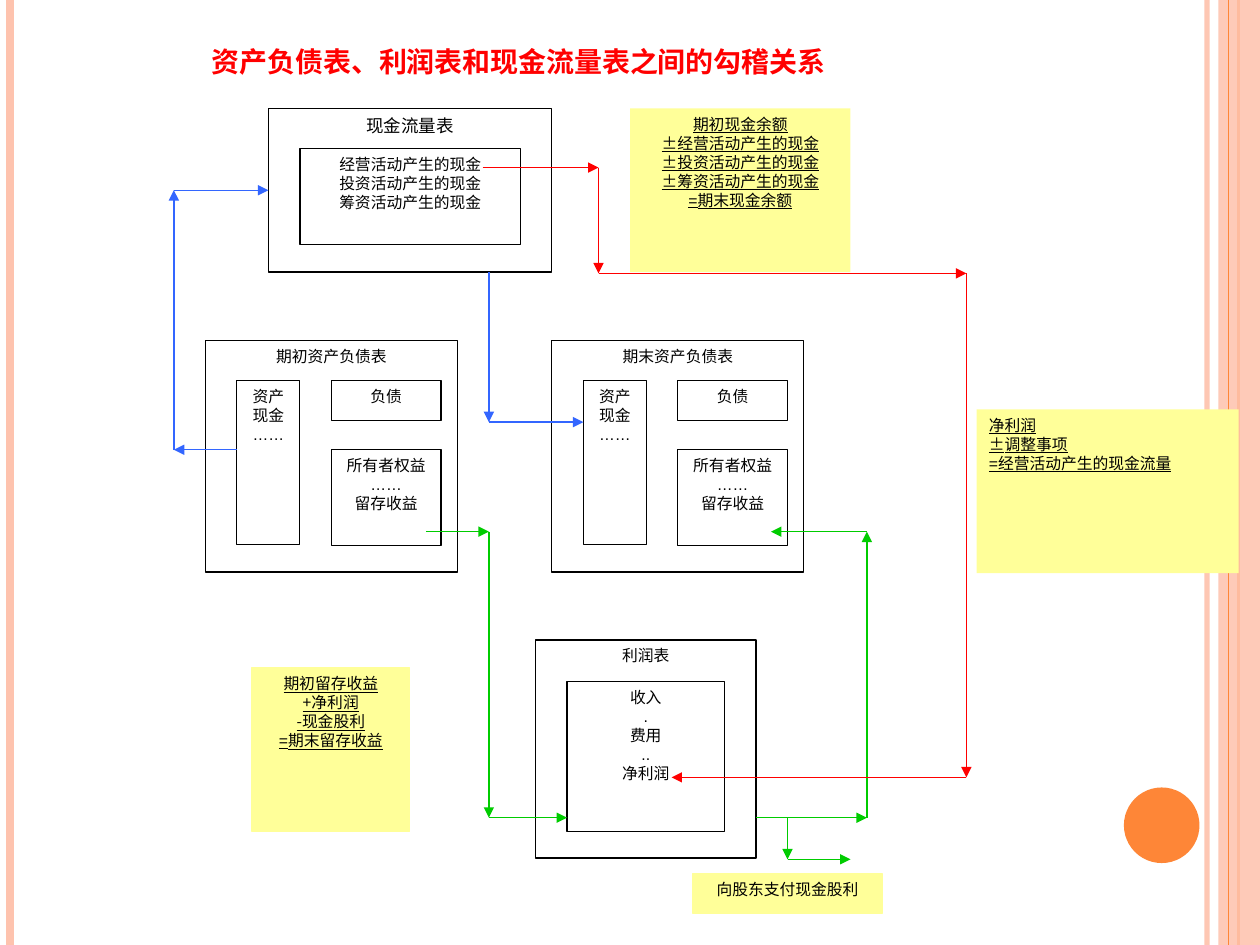
from itertools import pairwise

from lxml import etree
from pptx import Presentation
from pptx.dml.color import RGBColor
from pptx.enum.shapes import MSO_CONNECTOR, MSO_SHAPE
from pptx.enum.text import MSO_ANCHOR, MSO_AUTO_SIZE, PP_ALIGN
from pptx.oxml import parse_xml
from pptx.oxml.ns import nsdecls, qn
from pptx.util import Inches, Pt

BLACK = RGBColor(0x00, 0x00, 0x00)
WHITE = RGBColor(0xFF, 0xFF, 0xFF)
PEACH = RGBColor(0xFE, 0xC3, 0xAE)
ORANGE = RGBColor(0xFE, 0x86, 0x37)
YELLOW = RGBColor(0xFF, 0xFF, 0x99)
BLUE = RGBColor(0x33, 0x66, 0xFF)
GREEN = RGBColor(0x00, 0xCC, 0x00)
RED = RGBColor(0xFF, 0x00, 0x00)

BODY_FONT = "Arial"
CJK_FONT = "Noto Sans CJK SC"
TITLE_FONT = "TeX Gyre Schola"


def format_run(run, color, **values):
    for name, value in values.items():
        setattr(run.font, name, value)
    run.font.color.rgb = color
    east_asian = etree.SubElement(run.font._element, qn("a:ea"))
    east_asian.set("typeface", CJK_FONT)


def set_alpha(fill_owner, percent):
    color = fill_owner._element.spPr.find(".//" + qn("a:srgbClr"))
    etree.SubElement(color, qn("a:alpha")).set("val", str(percent * 1000))


def add_panel(slide, box, fill, outline=None, kind=MSO_SHAPE.RECTANGLE):
    panel = slide.shapes.add_shape(kind, *map(Inches, box))
    panel.shadow.inherit = False
    panel.fill.solid()
    panel.fill.fore_color.rgb = fill
    if outline is None:
        panel.line.fill.background()
    else:
        panel.line.color.rgb = outline
        panel.line.width = Pt(0.75)
    return panel


def write_lines(panel, lines, size=9, align=PP_ALIGN.CENTER, underline=None):
    frame = panel.text_frame
    frame.word_wrap = True
    frame.vertical_anchor = MSO_ANCHOR.TOP
    for index, line in enumerate(lines):
        paragraph = frame.add_paragraph() if index else frame.paragraphs[0]
        paragraph.alignment = align
        # A leading sign is set in its own font
        sign = line[0] if line[0] in "±+-" else ""
        for text, font in ((sign, CJK_FONT), (line[len(sign):], BODY_FONT)):
            if text:
                run = paragraph.add_run()
                run.text = text
                format_run(run, BLACK, name=font, size=Pt(size), underline=underline)


def add_frame(slide, box, lines, size=9):
    write_lines(add_panel(slide, box, WHITE, BLACK), lines, size)


def add_note(slide, box, lines, outline=None, **style):
    write_lines(add_panel(slide, box, YELLOW, outline), lines, **style)


def add_line(slide, start, end, color, width=0.75):
    line = slide.shapes.add_connector(MSO_CONNECTOR.STRAIGHT, *map(Inches, start + end))
    line.line.color.rgb = color
    line.line.width = Pt(width)
    line._element.spPr.append(parse_xml(f"<a:effectLst {nsdecls('a')}/>"))
    return line


def add_route(slide, color, points):
    for start, end in pairwise(points):
        arrow = add_line(slide, start, end, color)
        etree.SubElement(arrow.line._get_or_add_ln(), qn("a:tailEnd")).set("type", "triangle")


def add_decoration(slide, box):
    left, top, width, height = box
    right, bottom = left + width, top + height

    def add_rule(x, color, weight):
        return add_line(slide, (x, top), (x, bottom), color, weight)

    set_alpha(add_rule(right - 0.42, PEACH, 3), 93)
    add_rule(left + 0.08, PEACH, 4.5)
    add_rule(right - 0.17, ORANGE, 1.5)
    set_alpha(add_panel(slide, (right - 0.33, top, 0.33, height), PEACH), 87)
    add_rule(right - 0.25, ORANGE, 0.75)
    add_panel(slide, (right - 1.08, bottom - 1.25, 0.6, 0.6), ORANGE, kind=MSO_SHAPE.OVAL)


def add_title(slide, box):
    title = slide.shapes.title
    title.left, title.top, title.width, title.height = map(Inches, box)
    frame = title.text_frame
    frame.vertical_anchor = MSO_ANCHOR.BOTTOM
    frame.auto_size = MSO_AUTO_SIZE.NONE
    paragraph = frame.paragraphs[0]
    paragraph.alignment = PP_ALIGN.LEFT
    run = paragraph.add_run()
    run.text = "资产负债表、利润表和现金流量表之间的勾稽关系"
    format_run(run, RED, name=TITLE_FONT, size=Pt(16), bold=True)


def add_cash_flow_statement(slide, box):
    left, top, width, _ = box
    add_frame(slide, box, ["现金流量表"], size=10)
    activities = [f"{kind}活动产生的现金" for kind in ("经营", "投资", "筹资")]
    add_frame(slide, (left + 0.25, top + 0.32, width - 0.5, 0.76), activities)


def add_balance_sheet(slide, box, heading):
    left, top, _, _ = box
    add_frame(slide, box, [heading])
    add_frame(slide, (left + 0.25, top + 0.32, 0.5, 1.3), ["资产", "现金", "……"])
    add_frame(slide, (left + 1, top + 0.32, 0.87, 0.32), ["负债"])
    add_frame(slide, (left + 1, top + 0.87, 0.87, 0.76), ["所有者权益", "……", "留存收益"])


def add_income_statement(slide, box):
    left, top, width, _ = box
    add_frame(slide, box, ["利润表"])
    add_frame(slide, (left + 0.25, top + 0.33, width - 0.5, 1.19),
              ["收入", ".", "费用", "..", "净利润"])


def main():
    presentation = Presentation()
    presentation.slide_width, presentation.slide_height = Inches(10), Inches(7.5)
    slide = presentation.slides.add_slide(presentation.slide_layouts[5])

    add_decoration(slide, (0, 0, 10, 7.5))
    add_title(slide, (1.58, 0.25, 6.58, 0.42))

    # Statements
    add_cash_flow_statement(slide, (2.13, 0.86, 2.25, 1.3))
    add_balance_sheet(slide, (1.63, 2.7, 2, 1.84), "期初资产负债表")
    add_balance_sheet(slide, (4.38, 2.7, 2, 1.84), "期末资产负债表")
    add_income_statement(slide, (4.25, 5.08, 1.75, 1.73))

    # Formula notes
    add_note(slide, (5, 0.86, 1.75, 1.3),
             ["期初现金余额", "±经营活动产生的现金", "±投资活动产生的现金",
              "±筹资活动产生的现金", "=期末现金余额"], underline=True)
    add_note(slide, (2, 5.3, 1.25, 1.3),
             ["期初留存收益", "+净利润", "-现金股利", "=期末留存收益"],
             YELLOW, underline=True)
    add_note(slide, (5.5, 6.93, 1.5, 0.32), ["向股东支付现金股利"], YELLOW)
    add_note(slide, (7.75, 3.25, 2.08, 1.3),
             ["净利润", "±调整事项", "=经营活动产生的现金流量"],
             align=PP_ALIGN.LEFT, underline=True)

    # Cash links
    add_route(slide, BLUE, [(1.88, 3.57), (1.38, 3.57), (1.38, 1.51), (2.13, 1.51)])
    add_route(slide, BLUE, [(3.88, 2.16), (3.88, 3.35), (4.63, 3.35)])
    # Retained earnings and dividend links
    add_route(slide, GREEN, [(3.38, 4.22), (3.88, 4.22), (3.88, 6.49), (4.5, 6.49)])
    add_route(slide, GREEN, [(6, 6.49), (6.88, 6.49), (6.88, 4.22), (6.12, 4.22)])
    add_route(slide, GREEN, [(6.25, 6.49), (6.25, 6.82), (6.75, 6.82)])
    # Operating cash to net profit link
    add_route(slide, RED, [(3.83, 1.33), (4.75, 1.33), (4.75, 2.17),
                           (7.67, 2.17), (7.67, 6.17), (5.33, 6.17)])

    presentation.save("out.pptx")


if __name__ == "__main__":
    main()
